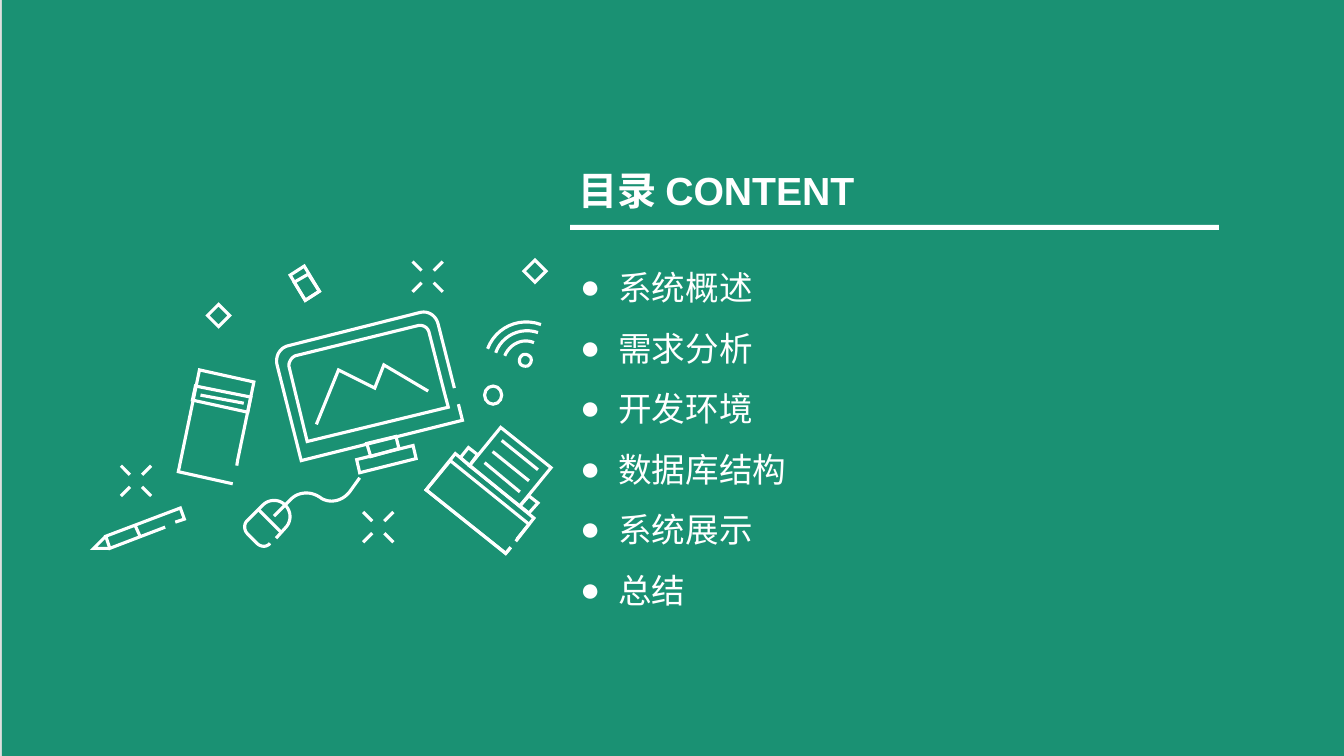
from dataclasses import dataclass
from pptx import Presentation
from pptx.dml.color import RGBColor as RGB
from pptx.enum.shapes import MSO_CONNECTOR as CONN, MSO_SHAPE as SHAPE
from pptx.enum.text import MSO_ANCHOR as ANCHOR
from pptx.oxml.ns import qn
from pptx.util import Inches, Pt
from lxml import etree


@dataclass(frozen=True)
class Theme:
    page: RGB = RGB.from_string("DFDFDF")
    green: RGB = RGB.from_string("1A9173")
    white: RGB = RGB.from_string("FFFFFF")
    font: str = "Arial"
    title: int = 28
    body: int = 24
    stroke: float = 2.25


theme = Theme()
COLS, ROWS = 1334, 750
prs = Presentation()
prs.slide_width, prs.slide_height = Inches(13.34), Inches(7.5)
U = prs.slide_width // COLS
s = prs.slides.add_slide(prs.slide_layouts[6])
s.background.fill.solid()
s.background.fill.fore_color.rgb = theme.page


def add_text(lines, box, size, bold=False, spacing=1.0, top=5, anchor=ANCHOR.TOP, bullet=None):
    tf = s.shapes.add_textbox(*(v * U for v in box)).text_frame
    tf.word_wrap = True
    tf.vertical_anchor = anchor
    tf.margin_left = tf.margin_right = 10 * U
    tf.margin_top, tf.margin_bottom = top * U, 5 * U
    for i, line in enumerate(lines):
        p = tf.add_paragraph() if i else tf.paragraphs[0]
        p.line_spacing = spacing
        r = p.add_run()
        r.text = line
        r.font.name, r.font.size, r.font.bold = theme.font, Pt(size), bold
        r.font.color.rgb = theme.white
        if bullet:
            pPr = p._p.get_or_add_pPr()
            pPr.set("marL", str(38 * U))
            pPr.set("indent", str(-38 * U))
            clr = etree.SubElement(pPr, qn("a:buClr"))
            etree.SubElement(clr, qn("a:srgbClr")).set("val", str(theme.white))
            etree.SubElement(pPr, qn("a:buFont")).set("typeface", theme.font)
            etree.SubElement(pPr, qn("a:buChar")).set("char", bullet)


def outline(sp):
    sp.line.color.rgb = theme.white
    sp.line.width = Pt(theme.stroke)
    spPr = sp._element.spPr
    etree.SubElement(spPr.find(qn("a:ln")), qn("a:miter")).set("lim", "800000")
    etree.SubElement(spPr, qn("a:effectLst"))


for box, color in (((2, -2, COLS, ROWS + 5), theme.green), ((566, 223, 644, 5), theme.white)):
    sp = s.shapes.add_shape(SHAPE.RECTANGLE, *(v * U for v in box))
    sp.fill.solid()
    sp.fill.fore_color.rgb = color
    sp.line.fill.background()
    sp.shadow.inherit = False

# Two numbers are a corner, six are a cubic curve
wifi = [
    [(484, 346), (492, 325, 515, 314, 537, 322)],
    [(492, 350), (498, 333, 517, 324, 534, 330)],
    [(501, 353), (506, 341, 519, 335, 530, 340)],
    [(527, 355), (525, 352, 522, 351, 519, 352), (516, 354, 515, 357, 516, 360),
     (517, 363, 521, 364, 524, 363), (527, 361, 528, 358, 527, 355)],
]
mouse = [
    [(274, 534), (283, 524), (290, 517, 289, 507, 283, 501), (277, 495, 267, 495, 261, 501),
     (245, 517), (242, 520, 242, 526, 246, 530), (255, 539), (259, 543, 265, 543, 268, 539)],
    [(272, 512), (289, 495), (296, 488, 308, 487, 317, 493), (326, 500, 339, 498, 347, 488), (357, 474)],
    [(256, 505), (279, 528)],
]
monitor = [
    [(455, 401), (459, 417), (299, 457), (275, 362), (273, 353, 278, 345, 286, 343),
     (417, 310), (425, 308, 433, 313, 435, 322), (451, 385)],
    [(441, 389), (445, 404), (305, 438), (287, 364), (286, 360, 289, 355, 293, 353),
     (415, 323), (420, 322, 425, 325, 426, 330), (441, 389)],
    [(413, 455), (357, 469), (354, 456), (410, 442), (413, 455)],
    [(396, 445), (368, 453), (364, 440), (393, 433), (396, 445)],
    [(314, 421), (336, 367), (372, 385), (381, 362), (425, 388)],
]
printer = [
    [(507, 543), (502, 549), (423, 486), (452, 450), (530, 514), (512, 537)],
    [(507, 543), (502, 549), (423, 486), (447, 457), (525, 520), (513, 535)],
    [(516, 502), (466, 462), (497, 424), (547, 464), (516, 502)],
    [(466, 462), (457, 454), (465, 444), (474, 451), (466, 462)],
    [(525, 509), (516, 502), (525, 492), (534, 499), (525, 509)],
]
notebook = [
    [(231, 480), (177, 468), (198, 367), (252, 379), (236, 456), (235, 462)],
    [(246, 409), (191, 397), (194, 383), (249, 394), (246, 409)],
]
eraser = [
    [(317, 289), (303, 298), (288, 273), (302, 264), (317, 289)],
    [(317, 289), (303, 298), (292, 280), (306, 272), (317, 289)],
]
pencil = [
    [(164, 523), (109, 544), (105, 532), (179, 504), (183, 515), (174, 518)],
    [(105, 532), (93, 544), (109, 544)],
]
diamonds = [[(x, y + 11), (x - 11, y), (x, y - 11), (x + 11, y), (x, y + 11)]
            for x, y in ((217, 313), (531, 269))]

art = s.shapes.add_group_shape().shapes
STEPS = 12
for stroke in wifi + mouse + monitor + printer + notebook + eraser + pencil + diamonds:
    pts = [stroke[0]]
    for seg in stroke[1:]:
        if len(seg) == 2:
            pts.append(seg)
            continue
        ctrl = [pts[-1], seg[:2], seg[2:4], seg[4:]]
        for t in (k / STEPS for k in range(1, STEPS + 1)):
            weights = ((1 - t) ** 3, 3 * t * (1 - t) ** 2, 3 * t * t * (1 - t), t ** 3)
            pts.append(tuple(sum(w * c[axis] for w, c in zip(weights, ctrl)) for axis in (0, 1)))
    pts = [(x * U, y * U) for x, y in pts]
    fb = art.build_freeform(*pts[0])
    fb.add_line_segments(pts[1:], close=stroke[0] == stroke[-1][-2:])
    sp = fb.convert_to_shape()
    sp.fill.background()
    outline(sp)

rules = [(498, 437, 534, 466), (489, 448, 525, 477), (481, 459, 516, 488),
         (199, 392, 242, 400), (134, 521, 139, 532)]
sparkles = [(x + 6 * dx, y + 6 * dy, x + 15 * dx, y + 15 * dy)
            for x, y in ((375.5, 523), (135, 477), (424.5, 274.5))
            for dx in (-1, 1) for dy in (-1, 1)]
for ends in rules + sparkles:
    outline(art.add_connector(CONN.STRAIGHT, *(int(v * U) for v in ends)))

sp = art.add_shape(SHAPE.OVAL, *(v * U for v in (481, 383, 17, 18)))
sp.fill.background()
outline(sp)

add_text(["目录 CONTENT"], (564, 156, 644, 71), theme.title, bold=True, spacing=0.9, anchor=ANCHOR.MIDDLE)
add_text(["系统概述", "需求分析", "开发环境", "数据库结构", "系统展示", "总结"],
         (566, 245, 644, 383), theme.body, spacing=1.5, top=0, bullet="●")

prs.save("out.pptx")
